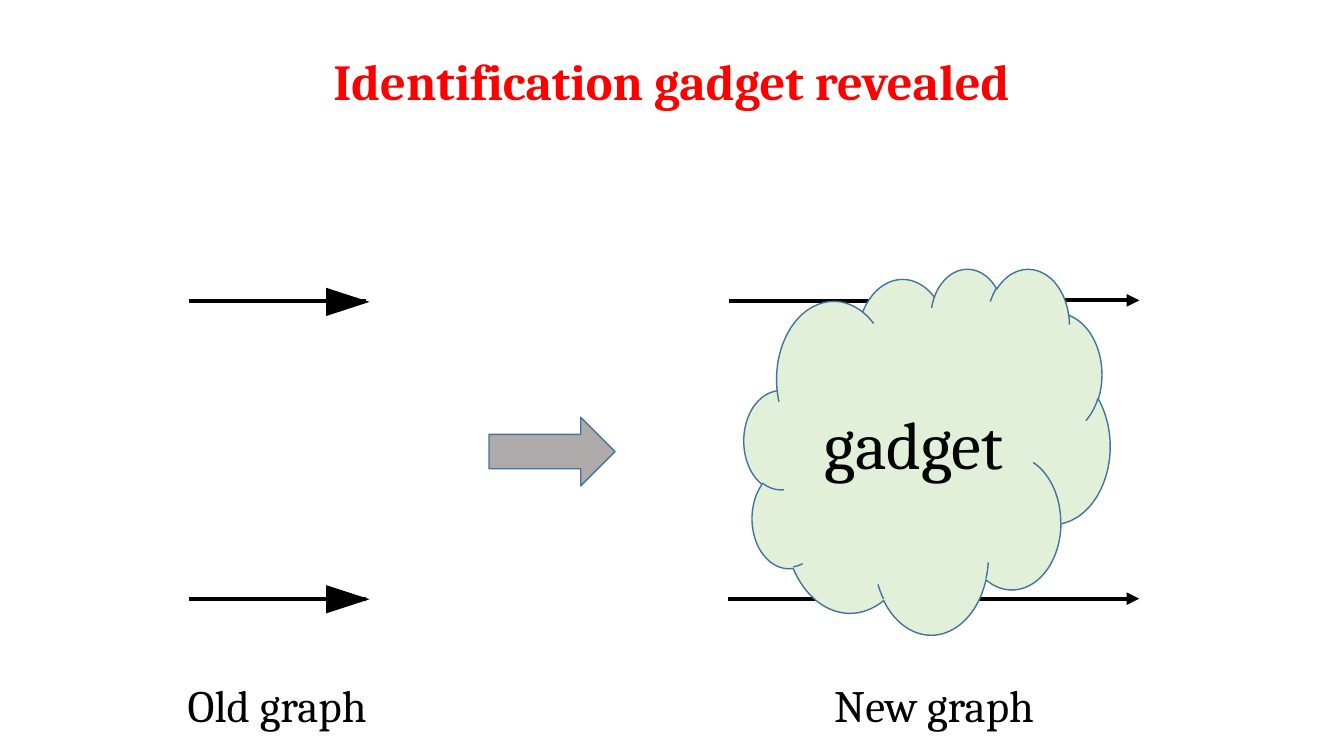
"""Build the slide that shows the identification gadget joining two edges."""
from lxml import etree
from pptx import Presentation
from pptx.dml.color import RGBColor
from pptx.enum.shapes import MSO_CONNECTOR as CONN, MSO_SHAPE as SHAPE
from pptx.enum.text import MSO_ANCHOR as ANCHOR, MSO_AUTO_SIZE as AUTO, PP_ALIGN as ALIGN
from pptx.oxml.ns import qn
from pptx.util import Inches, Pt

COLORS = {"title": "FF0000", "ink": "000000", "arrow": "AFABAB",
          "cloud": "E2F0D9", "outline": "43739E"}
rgb = {name: RGBColor.from_string(value) for name, value in COLORS.items()}


def write(shape, text, size, color="ink", bold=False, wrap=True):
    tf = shape.text_frame
    tf.word_wrap = wrap
    tf.auto_size = AUTO.NONE
    tf.vertical_anchor = ANCHOR.MIDDLE
    p = tf.paragraphs[0]
    p.alignment = ALIGN.CENTER
    r = p.add_run()
    r.text = text
    fmt = {"name": "Cambria", "size": Pt(size), "bold": bold}
    for key, value in fmt.items():
        setattr(r.font, key, value)
    r.font.color.rgb = rgb[color]


def add_filled(kind, box, fill, outline=None):
    sp = s.shapes.add_shape(kind, *map(Inches, box))
    sp.shadow.inherit = False
    sp.fill.solid()
    sp.fill.fore_color.rgb = rgb[fill]
    if outline:
        sp.line.color.rgb = rgb[outline]
        sp.line.width = Pt(1)
    else:
        sp.line.fill.background()
    return sp


prs = Presentation()
prs.slide_width, prs.slide_height = Inches(13.33), Inches(7.5)
s = prs.slides.add_slide(prs.slide_layouts[5])

title = s.shapes.title
title.left, title.top, title.width, title.height = map(Inches, (0.2, 0.44, 12.92, 0.71))
write(title, "Identification gadget revealed", 36, "title", bold=True)

for caption, left, width in (("Old graph", 1.71, 2.08), ("New graph", 8.12, 2.29)):
    tb = s.shapes.add_textbox(Inches(left), Inches(6.67), Inches(width), Inches(0.64))
    write(tb, caption, 32, wrap=False)

edge_length = 1.76
edges = [(1.87, 2.99, False), (1.87, 5.94, False),
         (7.23, 2.99, True), (9.54, 2.98, True),
         (7.22, 5.94, True), (9.54, 5.94, True)]
for x, y, line_end in edges:
    edge = s.shapes.add_connector(CONN.STRAIGHT, Inches(x), Inches(y),
                                  Inches(x + edge_length), Inches(y))
    edge.line.color.rgb = rgb["ink"]
    edge.line.width = Pt(3)
    if line_end:
        etree.SubElement(edge.line._get_or_add_ln(), qn("a:tailEnd"), type="triangle")
    else:
        head = add_filled(SHAPE.ISOSCELES_TRIANGLE, (x + 1.44, y - 0.21, 0.28, 0.43), "ink")
        head.rotation = 90
    etree.SubElement(edge._element.spPr, qn("a:effectLst"))

add_filled(SHAPE.RIGHT_ARROW, (4.85, 4.14, 1.25, 0.68), "arrow", "outline")
cloud = add_filled(SHAPE.CLOUD, (7.38, 2.66, 3.63, 3.63), "cloud", "outline")
write(cloud, "gadget", 48)

prs.save("out.pptx")
